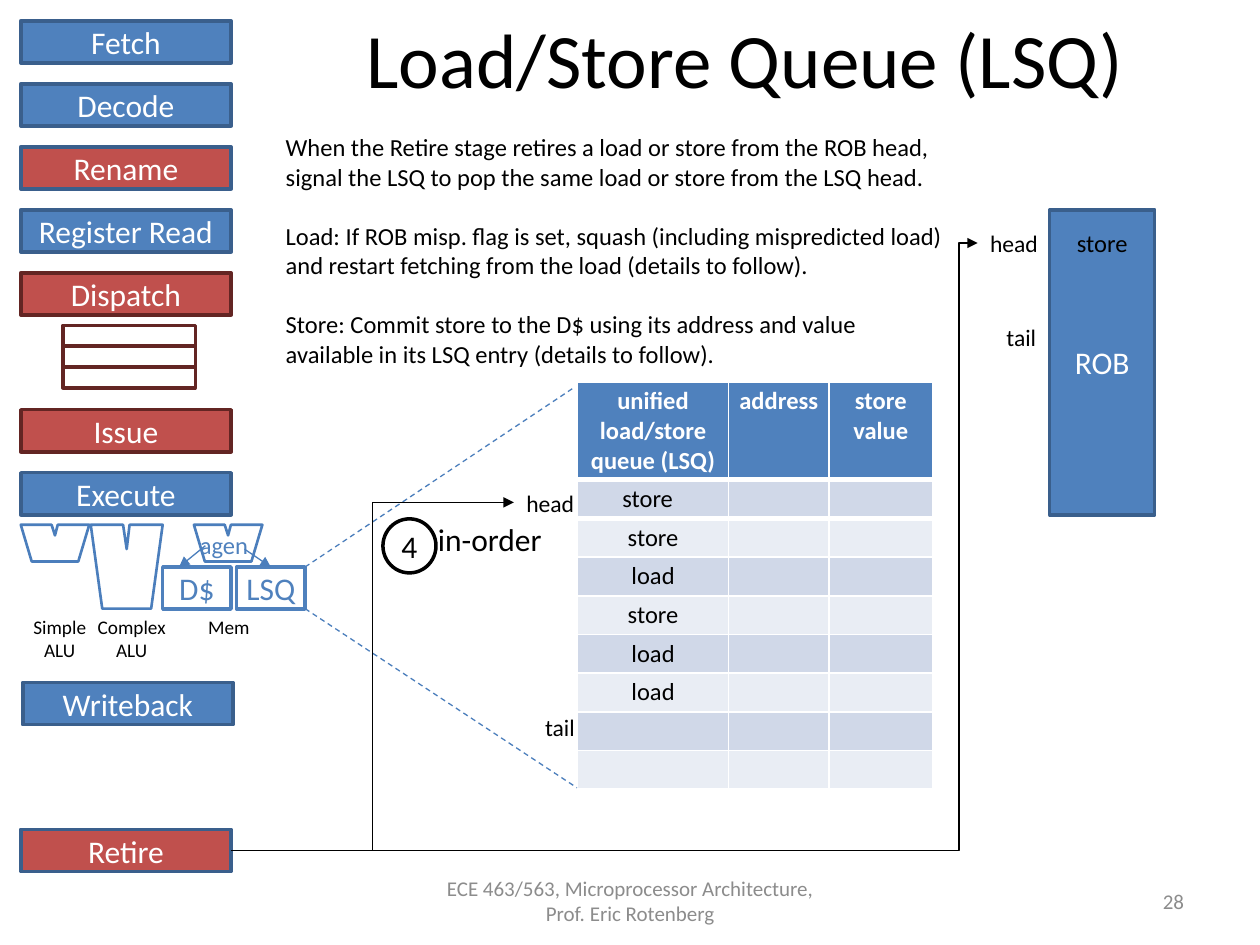
import pptx
import pptx.util
import pptx.dml.color
import pptx.enum.dml
import pptx.enum.shapes
import pptx.enum.text
import pptx.oxml.ns
from lxml import etree

RGBColor = pptx.dml.color.RGBColor
Cm = pptx.util.Cm
Pt = pptx.util.Pt
qn = pptx.oxml.ns.qn
KIND = pptx.enum.shapes.MSO_SHAPE
JOIN = pptx.enum.shapes.MSO_CONNECTOR
ALIGN = pptx.enum.text.PP_ALIGN
ANCHOR = pptx.enum.text.MSO_ANCHOR
FIT = pptx.enum.text.MSO_AUTO_SIZE

BLACK = RGBColor(0x00, 0x00, 0x00)
WHITE = RGBColor(0xFF, 0xFF, 0xFF)
GREY = RGBColor(0x8C, 0x8C, 0x8C)
BLUE = RGBColor(0x4F, 0x81, 0xBD)
NAVY = RGBColor(0x3A, 0x5F, 0x8C)
STEEL = RGBColor(0x4B, 0x7E, 0xBC)
RED = RGBColor(0xC0, 0x50, 0x4D)
MAROON = RGBColor(0x63, 0x25, 0x23)
BAND = RGBColor(0xD0, 0xD8, 0xE8)
PALE = RGBColor(0xE9, 0xED, 0xF4)


def write(frame, text, font="Calibri", size=18, color=BLACK, bold=False,
          align=ALIGN.LEFT, gap=0):
    for i, part in enumerate(text.split("\n")):
        para = frame.add_paragraph() if i else frame.paragraphs[0]
        para.text = part
        para.alignment = align
        if i:
            para.space_before = Pt(gap)
        for run in para.runs:
            run.font.name = font
            run.font.size = Pt(size)
            run.font.color.rgb = color
            run.font.bold = bold
        if not part:
            etree.SubElement(para._p, qn("a:endParaRPr"), sz=str(size * 100))


class Deck:
    edge = 2
    thin = 0.75

    def __init__(self, slide):
        self.slide = slide
        self.shapes = slide.shapes

    def title(self, text, place):
        head = self.shapes.title
        head.left, head.top, head.width, head.height = map(Cm, place)
        head.text_frame.vertical_anchor = ANCHOR.MIDDLE
        write(head.text_frame, text, size=44, align=ALIGN.CENTER)

    def paint(self, shape, fill, line, width):
        shape.shadow.inherit = False
        if fill is None:
            shape.fill.background()
        else:
            shape.fill.solid()
            shape.fill.fore_color.rgb = fill
        shape.line.color.rgb = line
        shape.line.width = Pt(width)

    def box(self, place, text="", fill=None, line=BLACK, color=WHITE,
            kind=KIND.RECTANGLE, pad=0.25):
        shape = self.shapes.add_shape(kind, *map(Cm, place))
        self.paint(shape, fill, line, self.edge)
        frame = shape.text_frame
        frame.margin_left = frame.margin_right = Cm(pad)
        frame.vertical_anchor = ANCHOR.MIDDLE
        if text:
            write(frame, text, color=color, align=ALIGN.CENTER)

    def label(self, place, text, wrap=False, anchor=ANCHOR.TOP, **form):
        frame = self.shapes.add_textbox(*map(Cm, place)).text_frame
        frame.word_wrap = wrap
        frame.auto_size = FIT.NONE if wrap else FIT.SHAPE_TO_FIT_TEXT
        frame.vertical_anchor = anchor
        write(frame, text, **form)

    def line(self, start, end, color=STEEL, dash=False, arrow=False, bend=None):
        kind = JOIN.ELBOW if bend else JOIN.STRAIGHT
        link = self.shapes.add_connector(kind, *map(Cm, start + end))
        link.line.color.rgb = color
        link.line.width = Pt(self.thin)
        if dash:
            link.line.dash_style = pptx.enum.dml.MSO_LINE.DASH
        props = link._element.spPr
        if arrow:
            etree.SubElement(props.find(qn("a:ln")), qn("a:tailEnd"), type="triangle")
        if bend:
            guides = props.find(qn("a:prstGeom")).find(qn("a:avLst"))
            etree.SubElement(guides, qn("a:gd"), name="adj1",
                             fmla=f"val {round(bend * 1000)}")
        etree.SubElement(props, qn("a:effectLst"))

    def unit(self, left, top, width, height):
        marks = [(0, 0), (0.45, 0), (0.5, 0.29), (0.54, 0), (1, 0), (0.84, 1), (0.16, 1)]
        spots = [(Cm(left + x * width), Cm(top + y * height)) for x, y in marks]
        form = self.shapes.build_freeform(*spots[0])
        form.add_line_segments(spots[1:], close=True)
        self.paint(form.convert_to_shape(), None, STEEL, 1.5)

    def rule(self, cell, side, width):
        edge = etree.Element(qn(side), w=str(Pt(width)))
        fill = etree.SubElement(edge, qn("a:solidFill"))
        etree.SubElement(fill, qn("a:srgbClr"), val=str(WHITE))
        cell._tc.get_or_add_tcPr().insert(0, edge)

    def table(self, place, rows, widths, heights):
        grid = self.shapes.add_table(len(rows), len(widths), *map(Cm, place)).table
        for col, width in zip(grid.columns, widths):
            col.width = Cm(width)
        for r, row in enumerate(rows):
            grid.rows[r].height = Cm(heights[r])
            for c, text in enumerate(row):
                cell = grid.cell(r, c)
                cell.margin_left = cell.margin_right = Cm(0.18)
                cell.margin_top = cell.margin_bottom = Cm(0.09)
                cell.fill.solid()
                cell.fill.fore_color.rgb = BLUE if r == 0 else BAND if r % 2 else PALE
                write(cell.text_frame, text, size=14, bold=r == 0,
                      color=BLACK if r else WHITE, align=ALIGN.CENTER)
                if r < 2:
                    self.rule(cell, "a:lnT" if r else "a:lnB", 3)
        return grid


def main():
    prs = pptx.Presentation()
    prs.slide_width, prs.slide_height = Cm(25.4), Cm(19.05)
    deck = Deck(prs.slides.add_slide(prs.slide_layouts[5]))
    deck.title("Load/Store Queue (LSQ)", (5.92, 0, 18.2, 2.33))

    for place, text, align in [
        ((8.68, 17.65, 8.05, 1.02),
         "ECE 463/563, Microprocessor Architecture, Prof. Eric Rotenberg", ALIGN.CENTER),
        ((18.2, 17.65, 5.92, 1.02), "28", ALIGN.RIGHT),
    ]:
        deck.label(place, text, wrap=True, anchor=ANCHOR.MIDDLE, size=12,
                   color=GREY, align=align)

    for text, left, top, fill, line in [
        ("Fetch", 0.42, 0.42, BLUE, NAVY),
        ("Decode", 0.42, 1.69, BLUE, NAVY),
        ("Rename", 0.42, 2.96, RED, NAVY),
        ("Register Read", 0.42, 4.23, BLUE, NAVY),
        ("Dispatch", 0.42, 5.5, RED, MAROON),
        ("Issue", 0.42, 8.26, RED, MAROON),
        ("Execute", 0.42, 9.53, BLUE, NAVY),
        ("Writeback", 0.46, 13.76, BLUE, NAVY),
        ("Retire", 0.42, 16.72, RED, NAVY),
    ]:
        deck.box((left, top, 4.24, 0.85), text, fill, line)

    for i in range(3):
        deck.box((1.27, 6.56 + i * 0.42, 2.67, 0.42), line=MAROON)

    for left, width, height in [(0.42, 1.38, 0.74), (1.83, 1.45, 1.69), (3.91, 1.38, 0.74)]:
        deck.unit(left, 10.58, width, height)
    for left, text in [(3.28, "D$"), (4.77, "LSQ")]:
        deck.box((left, 11.43, 1.38, 0.85), text, line=BLUE, color=BLUE, pad=0)
    deck.label((3.78, 10.57, 1.5, 0.86), "agen", size=14, color=BLUE)
    for left, width, height, text in [
        (0.42, 1.57, 1.19, "Simple\vALU"),
        (1.7, 1.91, 1.19, "Complex\vALU"),
        (3.94, 1.35, 0.74, "Mem"),
    ]:
        deck.label((left, 12.27, width, height), text, size=11, align=ALIGN.CENTER)

    rows = [("unified load/store queue (LSQ)", "address", "store value")]
    rows += [(text, "", "") for text in
             ("store", "store", "load", "store", "load", "load", "", "")]
    grid = deck.table((11.64, 7.7, 7.16, 8.23), rows, (3.05, 2.02, 2.09),
                      [1.97] + [0.78] * 8)
    grid.cell(1, 0).margin_right = Cm(0.4)

    deck.box((21.16, 4.23, 2.12, 6.15), "ROB", BLUE, NAVY)
    for left, top, width, text in [
        (10.36, 9.73, 1.5, "head"), (10.74, 14.25, 1.12, "tail"),
        (19.71, 4.5, 1.5, "head"), (20.04, 6.38, 1.12, "tail"),
    ]:
        deck.label((left, top, width, 0.84), text, size=13.5)
    deck.label((21.46, 4.47, 2.41, 0.86), "store", wrap=True, size=14)

    deck.line((6.15, 11.43), (11.56, 7.82), dash=True)
    deck.line((6.15, 12.27), (11.63, 15.88), dash=True)
    deck.line((4.14, 11), (3.61, 11.43), arrow=True)
    deck.line((4.93, 11.07), (5.46, 11.43), arrow=True)
    for end, bend in [((10.36, 10.13), 50), ((19.71, 4.9), 97.5)]:
        deck.line((4.66, 17.14), end, BLACK, arrow=True, bend=bend)

    deck.box((7.72, 10.46, 1.07, 1.09), "4", color=BLACK, kind=KIND.OVAL, pad=0)
    deck.label((8.58, 10.36, 2.62, 1.02), "in-order")
    deck.label((5.51, 2.54, 14.2, 5.05), (
        "When the Retire stage retires a load or store from the ROB head,\v"
        "signal the LSQ to pop the same load or store from the LSQ head.\n"
        "Load: If ROB misp. flag is set, squash (including mispredicted load)\v"
        "and restart fetching from the load (details to follow).\n"
        "Store: Commit store to the D$ using its address and value\v"
        "available in its LSQ entry (details to follow)."), wrap=True, size=14, gap=17)

    prs.save("out.pptx")


if __name__ == "__main__":
    main()
